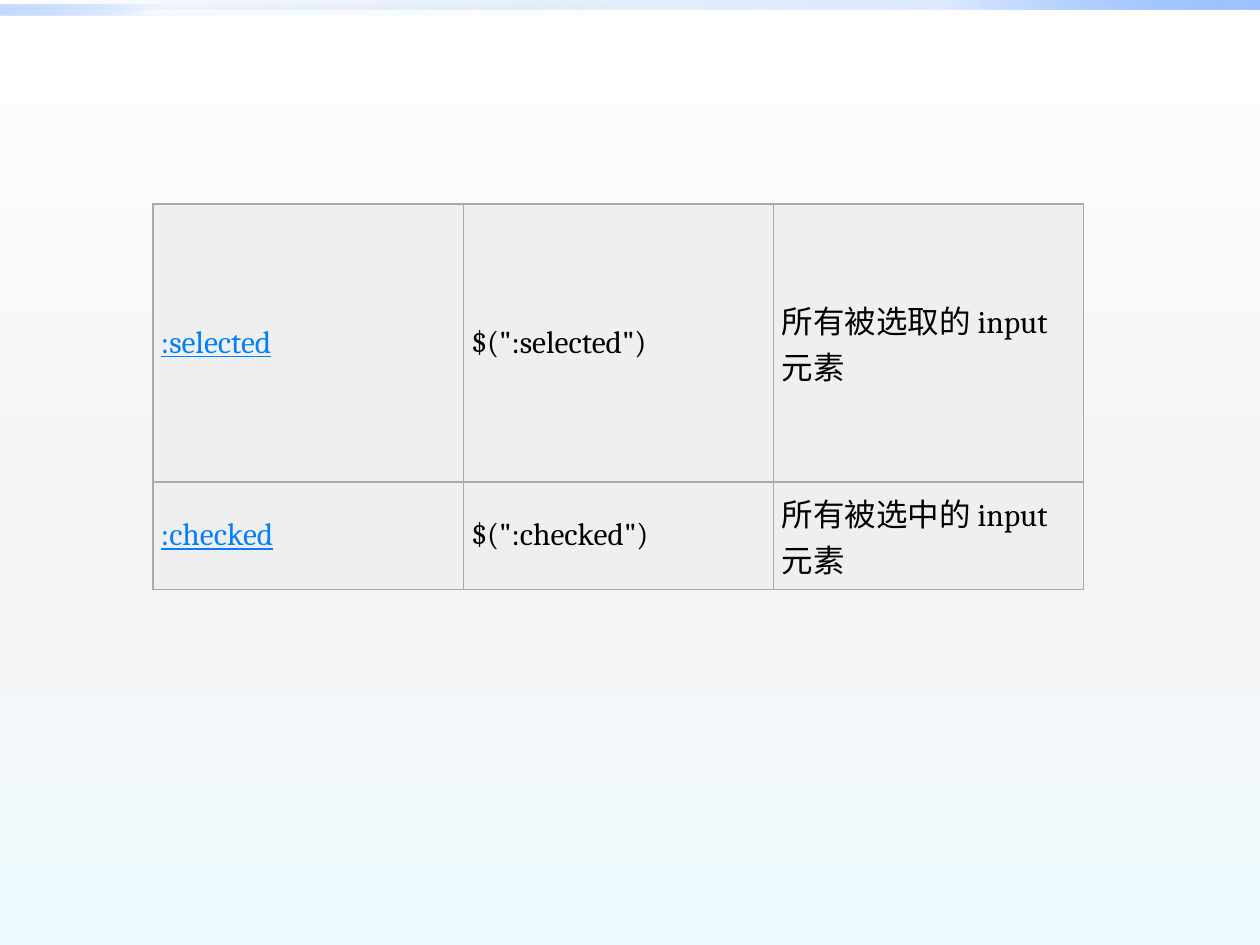
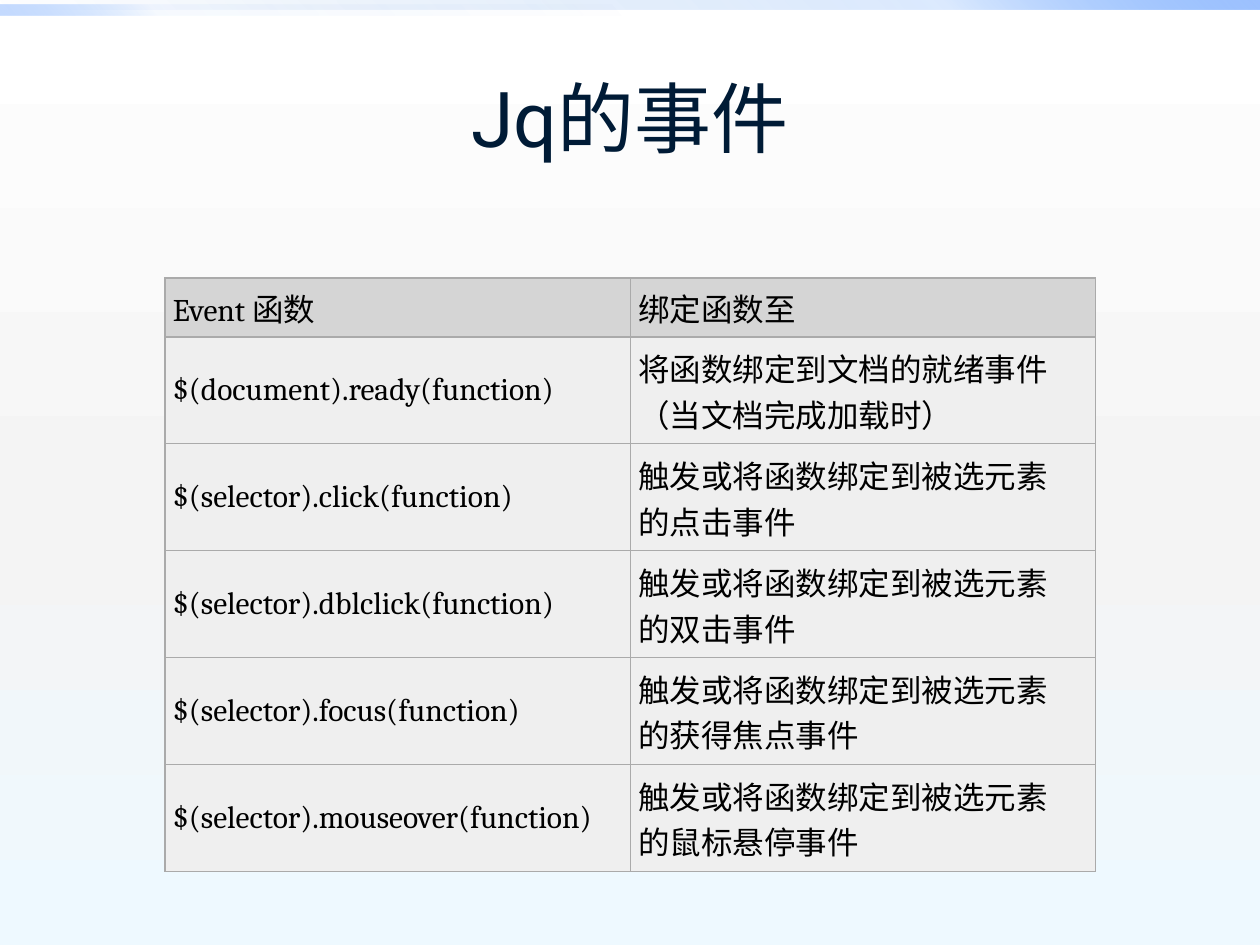
from lxml import etree
from pptx import Presentation
from pptx import util as u
from pptx.dml.color import RGBColor
from pptx.enum import shapes, text
from pptx.oxml import ns

PIXEL = u.Inches(1) / 126
SLIDE_BOX = (0, 0, 1260, 945)

WHITE = RGBColor(0xFF, 0xFF, 0xFF)
PALE_GREY = RGBColor(0xF4, 0xF4, 0xF4)
ICE_BLUE = RGBColor(0xEE, 0xF9, 0xFF)
DEEP_BLUE = RGBColor(0x00, 0x58, 0xB7)
MID_BLUE = RGBColor(0x4F, 0x95, 0xFF)
LIGHT_BLUE = RGBColor(0x9E, 0xC2, 0xFF)
LINK_BLUE = RGBColor(0x00, 0x80, 0xFF)
NAVY = RGBColor(0x00, 0x1B, 0x36)
BLACK = RGBColor(0x00, 0x00, 0x00)
HEADER_GREY = RGBColor(0xD5, 0xD5, 0xD5)
BODY_GREY = RGBColor(0xEF, 0xEF, 0xEF)
BORDER_GREY = RGBColor(0xAA, 0xAA, 0xAA)

TITLE_FONT = "Roboto"
TABLE_FONT = "Cambria"
ROW_HEIGHT = 107
HEADER_HEIGHT = 59

SELECTORS = [
    (":selected", '$(":selected")', "所有被选取的 input 元素"),
    (":checked", '$(":checked")', "所有被选中的 input 元素"),
]
EVENTS = [
    ("Event 函数", "绑定函数至"),
    ("$(document).ready(function)", "将函数绑定到文档的就绪事件（当文档完成加载时）"),
] + [
    (f"$(selector).{event}(function)", f"触发或将函数绑定到被选元素的{action}事件")
    for event, action in [
        ("click", "点击"),
        ("dblclick", "双击"),
        ("focus", "获得焦点"),
        ("mouseover", "鼠标悬停"),
    ]
]


def px(length):
    return u.Emu(round(length * PIXEL))


def add_part(parent, tag, **attributes):
    part = etree.SubElement(parent, ns.qn(tag))
    for key, value in attributes.items():
        part.set(key, str(value))
    return part


def set_gradient(owner, fill, stops, angle):
    fill.gradient()
    gradient = owner.element.find(".//" + ns.qn("a:gradFill"))
    for part in list(gradient):
        gradient.remove(part)
    stop_list = add_part(gradient, "a:gsLst")
    for position, color, opacity in stops:
        stop = add_part(stop_list, "a:gs", pos=position * 1000)
        tint = add_part(stop, "a:srgbClr", val=color)
        if opacity < 100:
            add_part(tint, "a:alpha", val=opacity * 1000)
    add_part(gradient, "a:lin", ang=angle * 60000, scaled=0)


def add_run(paragraph, words, font, size, color, underline=False):
    run = paragraph.add_run()
    run.text = words
    run.font.name = font
    run.font.size = u.Pt(size)
    run.font.color.rgb = color
    run.font.underline = underline


def add_band(slide, box, stops, angle):
    band = slide.shapes.add_shape(shapes.MSO_SHAPE.RECTANGLE, *map(px, box))
    band.shadow.inherit = False
    band.line.fill.background()
    set_gradient(band, band.fill, stops, angle)


def add_backdrop(slide, box):
    left, top, width, height = box
    set_gradient(slide, slide.background.fill,
                 [(0, WHITE, 100), (55, PALE_GREY, 100), (100, ICE_BLUE, 100)], 90)
    add_band(slide, (left, top, width, 10),
             [(0, DEEP_BLUE, 0), (75, MID_BLUE, 20), (100, LIGHT_BLUE, 100)], 315)
    add_band(slide, (left, top + 5, width / 2, 10),
             [(0, DEEP_BLUE, 0), (75, MID_BLUE, 5), (100, LIGHT_BLUE, 60)], 135)


def add_title(slide, box, words):
    frame = slide.shapes.add_textbox(*map(px, box)).text_frame
    frame.word_wrap = True
    frame.vertical_anchor = text.MSO_ANCHOR.MIDDLE
    paragraph = frame.paragraphs[0]
    paragraph.alignment = text.PP_ALIGN.CENTER
    add_run(paragraph, words, TITLE_FONT, 44, NAVY)


def set_borders(cell):
    properties = cell._tc.get_or_add_tcPr()
    for index, side in enumerate(("a:lnL", "a:lnR", "a:lnT", "a:lnB")):
        border = add_part(properties, side, w=u.Pt(0.75))
        add_part(add_part(border, "a:solidFill"), "a:srgbClr", val=BORDER_GREY)
        properties.insert(index, border)


def fill_cell(cell, words, is_header, is_link):
    cell.fill.solid()
    cell.fill.fore_color.rgb = HEADER_GREY if is_header else BODY_GREY
    cell.vertical_anchor = text.MSO_ANCHOR.MIDDLE
    cell.margin_left = px(8)
    cell.margin_right = px(20)
    cell.margin_top = cell.margin_bottom = px(6 if is_header else 8)
    set_borders(cell)
    add_run(cell.text_frame.paragraphs[0], words, TABLE_FONT, 18,
            LINK_BLUE if is_link else BLACK, is_link)


def add_grid(slide, box, rows, heights, has_header=False, has_links=False):
    columns = len(rows[0])
    grid = slide.shapes.add_table(len(rows), columns, *map(px, box)).table
    grid.first_row = grid.horz_banding = False
    for column in grid.columns:
        column.width = px(box[2] / columns)
    for row_index, (row, height) in enumerate(zip(rows, heights)):
        grid.rows[row_index].height = px(height)
        for column_index, words in enumerate(row):
            fill_cell(grid.cell(row_index, column_index), words,
                      has_header and row_index == 0,
                      has_links and column_index == 0)


def build_selector_slide(slide, box):
    left, top = box[:2]
    heights = [278, ROW_HEIGHT]
    add_backdrop(slide, box)
    add_grid(slide, (left + 153, top + 204, 931, sum(heights)),
             SELECTORS, heights, has_links=True)


def build_event_slide(slide, box):
    left, top = box[:2]
    heights = [HEADER_HEIGHT] + [ROW_HEIGHT] * (len(EVENTS) - 1)
    add_backdrop(slide, box)
    add_title(slide, (left + 63, top + 38, 1134, 157), "Jq的事件")
    add_grid(slide, (left + 165, top + 278, 931, sum(heights)),
             EVENTS, heights, has_header=True)


deck = Presentation()
deck.slide_width, deck.slide_height = map(px, SLIDE_BOX[2:])
blank = deck.slide_layouts[6]
for build_slide in (build_selector_slide, build_event_slide):
    build_slide(deck.slides.add_slide(blank), SLIDE_BOX)
deck.save("out.pptx")
